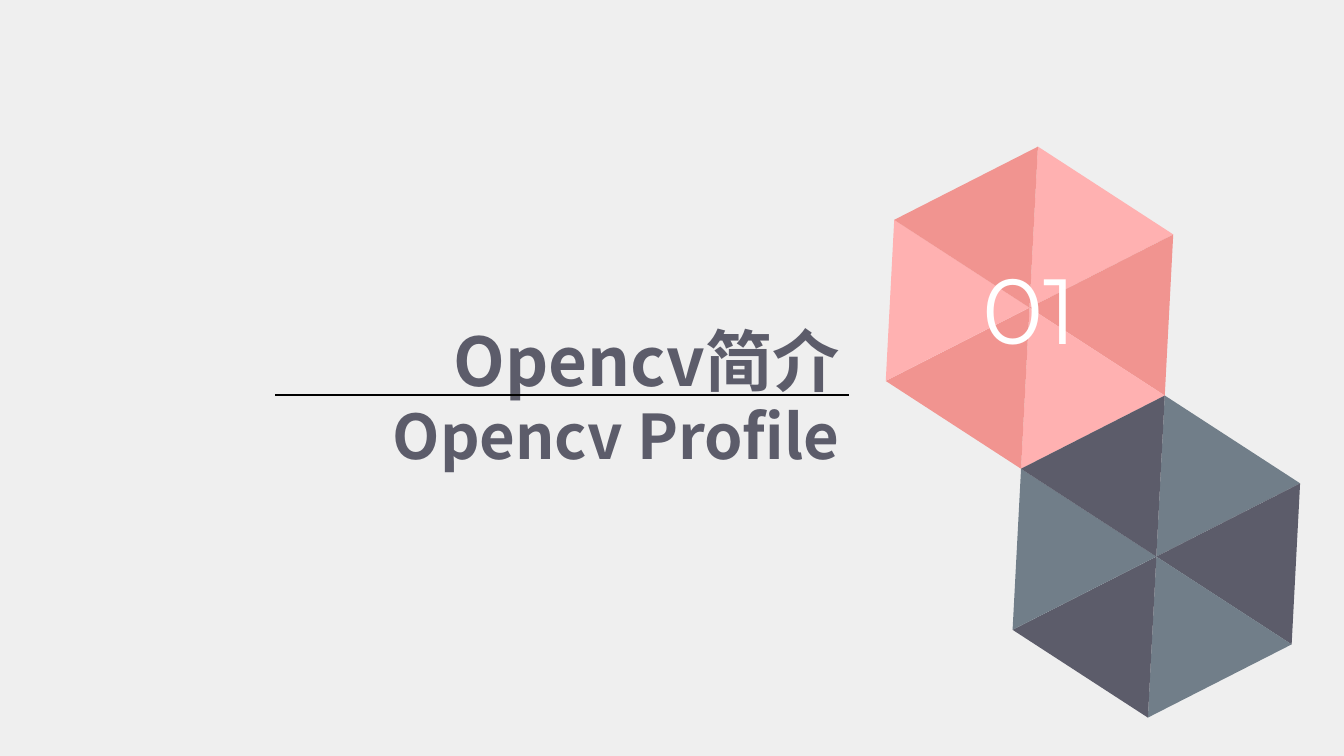
from dataclasses import dataclass
from math import cos, radians, sin, sqrt

from lxml.etree import SubElement
from pptx import Presentation
from pptx.dml.color import RGBColor
from pptx.enum.shapes import MSO_CONNECTOR, MSO_SHAPE
from pptx.enum.text import MSO_ANCHOR, MSO_AUTO_SIZE, PP_ALIGN
from pptx.oxml.ns import qn
from pptx.util import Inches, Pt


@dataclass(frozen=True)
class Theme:
    """Colours, fonts and type sizes of the slide."""
    paper: str = "EFEFEF"
    ink: str = "5C5C6A"
    slate: str = "717E89"
    rose: str = "FFB1B1"
    coral: str = "F19490"
    white: str = "FFFFFF"
    rule: str = "000000"
    title_font: str = "Noto Sans CJK SC"
    number_font: str = "Montserrat"
    title_pt: int = 48
    subtitle_pt: int = 44
    number_pt: int = 66
    rule_pt: float = 1.5


THEME = Theme()
WIDTH, HEIGHT = 13.33, 7.5
SIDE = 1.6
TILT = 3


def rgb(code):
    """Return the colour of a hex code."""
    return RGBColor.from_string(code)


def style(p, size, font, colour, align, bold=False):
    """Format one paragraph."""
    p.alignment = align
    p.font.size, p.font.name, p.font.bold = Pt(size), font, bold
    p.font.color.rgb = rgb(colour)


def add_hexagon(s, cx, cy, light, dark):
    """Build a tilted hexagon of six alternating triangles around a centre."""
    grp = s.shapes.add_group_shape()
    height = SIDE * sqrt(3) / 2
    for k in range(6):
        out = radians(TILT + 30 + 60 * k)
        turn = TILT + (90 if k % 2 == 0 else 270)
        apex = radians(turn)
        x = cx + height * (2 / 3 * sin(out) + sin(apex) / 6)
        y = cy - height * (2 / 3 * cos(out) + cos(apex) / 6)
        sp = grp.shapes.add_shape(
            MSO_SHAPE.ISOSCELES_TRIANGLE, Inches(x - SIDE / 2),
            Inches(y - height / 2), Inches(SIDE), Inches(height))
        sp.rotation = turn
        sp.shadow.inherit = False
        sp.fill.solid()
        sp.fill.fore_color.rgb = rgb(dark if k % 2 else light)
        sp.line.fill.background()


def add_number(s, cx, cy, text):
    """Centre the chapter number on a hexagon."""
    w, h = 2.06, 1.21
    box = s.shapes.add_textbox(Inches(cx - w / 2), Inches(cy - h / 2),
                               Inches(w), Inches(h))
    tf = box.text_frame
    tf.word_wrap = True
    p = tf.paragraphs[0]
    p.text = text
    style(p, THEME.number_pt, THEME.number_font, THEME.white, PP_ALIGN.CENTER)


def add_heading(s, x, y, w, h, lines):
    """Fill the title with right-aligned lines of (text, size, line height)."""
    sp = s.shapes.title
    sp.left, sp.top, sp.width, sp.height = map(Inches, (x, y, w, h))
    tf = sp.text_frame
    tf.word_wrap, tf.auto_size = True, MSO_AUTO_SIZE.NONE
    tf.vertical_anchor = MSO_ANCHOR.TOP
    tf.text = "\n".join(text for text, _, _ in lines)
    for p, (_, size, leading) in zip(tf.paragraphs, lines):
        style(p, size, THEME.title_font, THEME.ink, PP_ALIGN.RIGHT, True)
        p.line_spacing = Pt(leading)
        for r in p.runs:
            rpr = r.font._element
            SubElement(rpr, qn("a:ea")).set("typeface", THEME.title_font)


def add_rule(s, x1, x2, y):
    """Draw the horizontal rule between the heading lines."""
    line = s.shapes.add_connector(MSO_CONNECTOR.STRAIGHT, Inches(x1),
                                  Inches(y), Inches(x2), Inches(y))
    line.line.color.rgb = rgb(THEME.rule)
    line.line.width = Pt(THEME.rule_pt)
    SubElement(line._element.spPr, qn("a:effectLst"))


def add_chapter(prs):
    """Build the chapter slide."""
    s = prs.slides.add_slide(prs.slide_layouts[5])
    s.background.fill.solid()
    s.background.fill.fore_color.rgb = rgb(THEME.paper)
    cx, cy = WIDTH * 0.766, HEIGHT * 0.407
    step = radians(TILT + 150)
    add_hexagon(s, cx, cy, THEME.rose, THEME.coral)
    add_hexagon(s, cx + SIDE * sqrt(3) * sin(step),
                cy - SIDE * sqrt(3) * cos(step), THEME.slate, THEME.ink)
    add_number(s, cx, cy, "01")
    add_heading(s, WIDTH * 0.141, HEIGHT * 0.407, 6.55, 1.65,
                [("Opencv简介", THEME.title_pt, 62),
                 ("Opencv Profile", THEME.subtitle_pt, 52)])
    add_rule(s, WIDTH * 0.205, WIDTH * 0.632, HEIGHT * 0.523)


def main():
    """Create and save the presentation."""
    prs = Presentation()
    prs.slide_width, prs.slide_height = Inches(WIDTH), Inches(HEIGHT)
    add_chapter(prs)
    prs.save("out.pptx")


if __name__ == "__main__":
    main()
